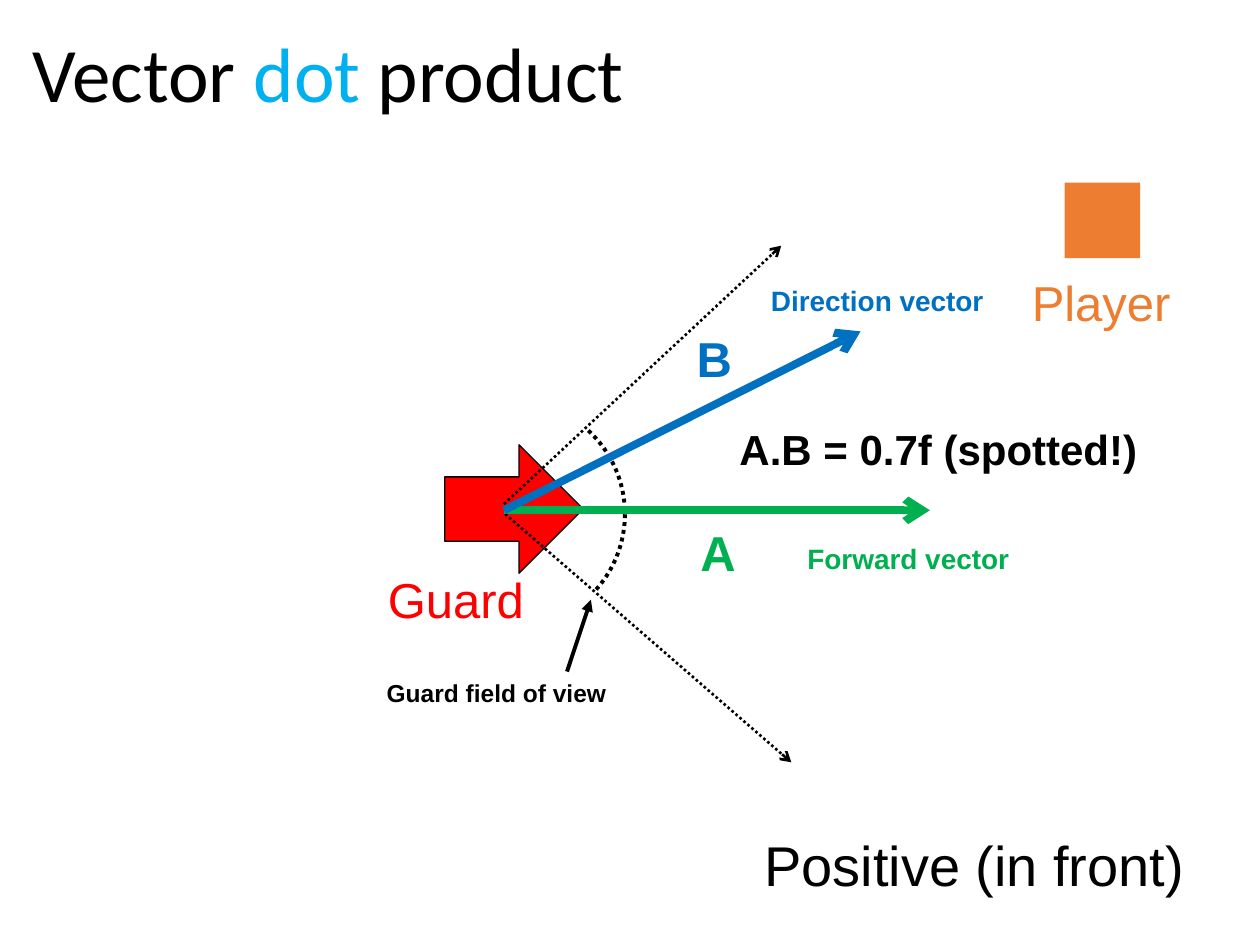
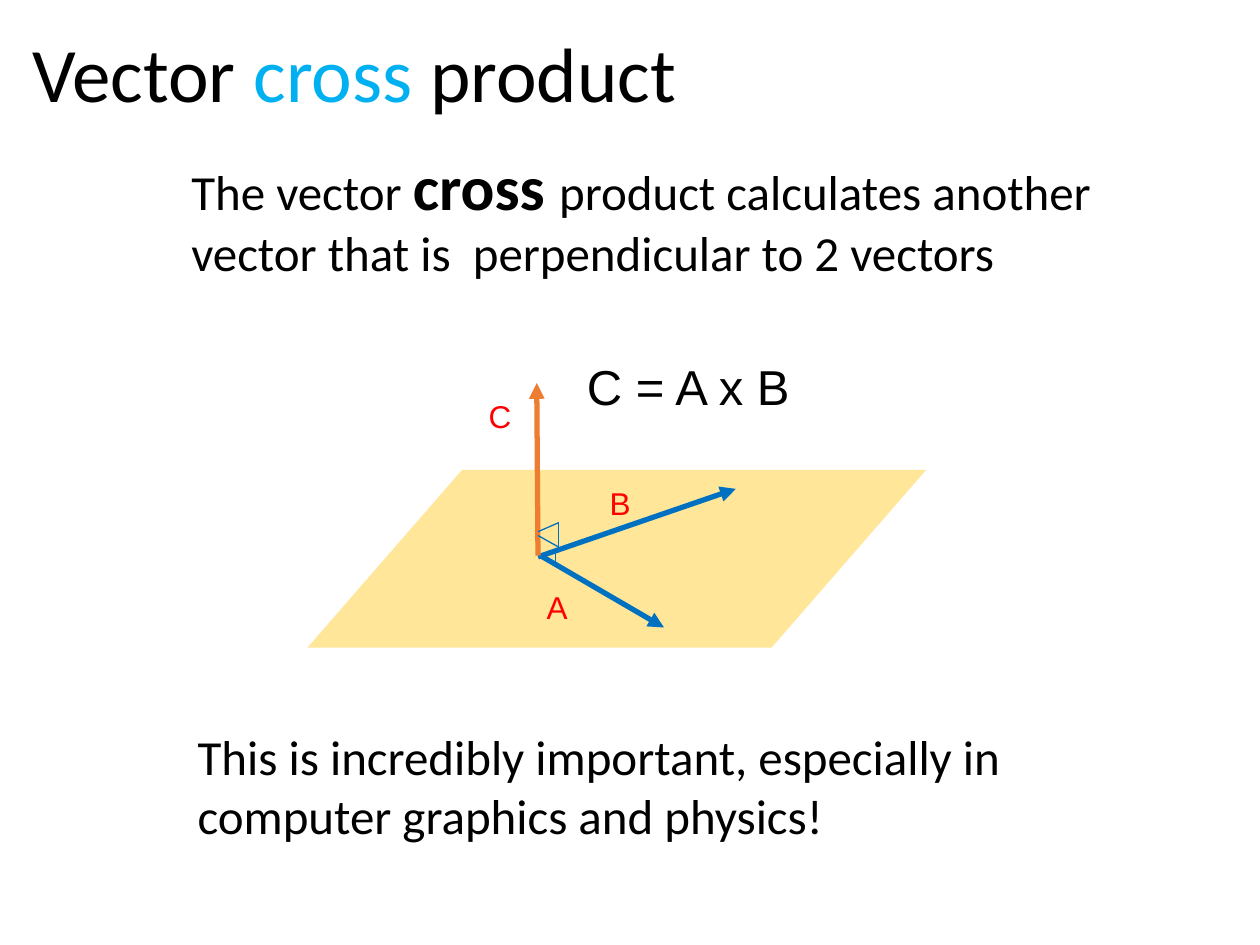
import pptx
import pptx.dml.color
import pptx.enum.dml
import pptx.enum.shapes
import pptx.enum.text
import pptx.oxml
import pptx.oxml.ns
import pptx.util
from pptx.util import Inches

RGBColor = pptx.dml.color.RGBColor
BLACK = RGBColor(0x00, 0x00, 0x00)
RED = RGBColor(0xFF, 0x00, 0x00)
ORANGE = RGBColor(0xED, 0x7D, 0x31)
GREEN = RGBColor(0x00, 0xB0, 0x50)
BLUE = RGBColor(0x00, 0x70, 0xC0)
SKY = RGBColor(0x00, 0xB0, 0xF0)
SAND = RGBColor(0xFF, 0xE6, 0x99)

SHAPE = pptx.enum.shapes.MSO_SHAPE
ALIGN = pptx.enum.text.PP_ALIGN
DOTS = pptx.enum.dml.MSO_LINE.ROUND_DOT
TITLE_ONLY = 5


def assign(target, values):
    for name, value in values.items():
        setattr(target, name, value)


class Deck:
    """Holds the shared style and the current slide."""

    sans = "Arial"
    serif = "Calibri"
    frame = {"auto_size": pptx.enum.text.MSO_AUTO_SIZE.SHAPE_TO_FIT_TEXT,
             "vertical_anchor": pptx.enum.text.MSO_ANCHOR.TOP}

    def __init__(self):
        self.prs = pptx.Presentation()
        assign(self.prs, {"slide_width": Inches(10), "slide_height": Inches(7.5)})
        self.slide = None

    def start(self, key, width):
        """Add a slide whose title sets one key word in sky blue."""
        layout = self.prs.slide_layouts[TITLE_ONLY]
        self.slide = self.prs.slides.add_slide(layout)
        title = self.slide.shapes.title
        assign(title, {"left": Inches(0.16), "top": Inches(0.15),
                       "width": Inches(width), "height": Inches(0.84)})
        runs = [("Vector ", {}), (key, {"color": SKY}), (" product", {})]
        self.fill_text(title, runs, 44, font=self.serif)

    def fill_text(self, box, runs, size, color=BLACK, font=sans, bold=False,
                  wrap=False, align=ALIGN.LEFT):
        """Fill a box; each run may override size, color or bold."""
        assign(box.text_frame, {**self.frame, "word_wrap": wrap})
        para = box.text_frame.paragraphs[0]
        para.alignment = align
        for text, change in runs:
            style = {"size": size, "color": color, "bold": bold, **change}
            run = para.add_run()
            run.text = text
            assign(run.font, {"name": font, "bold": style["bold"],
                              "size": pptx.util.Pt(style["size"])})
            run.font.color.rgb = style["color"]

    def text(self, at, runs, size, **style):
        box = self.slide.shapes.add_textbox(*map(Inches, at))
        if isinstance(runs, str):
            runs = [(runs, {})]
        self.fill_text(box, runs, size, **style)

    def stroke(self, line, color, width, dash=None):
        line.color.rgb = color
        assign(line, {"width": pptx.util.Pt(width), "dash_style": dash})

    def shape(self, kind, at, fill=None, line=None, turn=0, adjust=None):
        shape = self.slide.shapes.add_shape(kind, *map(Inches, at))
        shape.shadow.inherit = False
        shape.rotation = turn
        if adjust is not None:
            shape.adjustments[0] = adjust
        if fill is None:
            shape.fill.background()
        else:
            shape.fill.solid()
            shape.fill.fore_color.rgb = fill
        if line is None:
            shape.line.fill.background()
        else:
            self.stroke(shape.line, *line)

    def line(self, start, end, color, width, head=None, dash=None):
        kind = pptx.enum.shapes.MSO_CONNECTOR.STRAIGHT
        link = self.slide.shapes.add_connector(kind, *map(Inches, start + end))
        self.stroke(link.line, color, width, dash)
        props = link.element.spPr
        make = pptx.oxml.ns.qn
        if head:
            edge = props.find(make("a:ln"))
            edge.append(edge.makeelement(make("a:tailEnd"), {"type": head}))
        props.append(props.makeelement(make("a:effectLst"), {}))


def dot_slide(deck):
    deck.start("dot", 4.94)
    deck.text((5.77, 3.31, 3.39, 0.5), "A.B = 0.7f (spotted!)", 24, bold=True)

    # Guard and player
    deck.shape(SHAPE.RIGHT_ARROW, (3.53, 3.53, 1.1, 1.02), RED, (BLACK, 0.75))
    deck.text((2.98, 4.47, 1.3, 0.57), "Guard", 28, color=RED)
    deck.shape(SHAPE.RECTANGLE, (8.45, 1.45, 0.6, 0.6), ORANGE)
    deck.text((8.09, 2.11, 1.32, 0.57), "Player", 28, color=ORANGE)

    # Field of view
    for start, end in (((4, 4), (6.2, 1.95)), ((4.01, 4.08), (6.28, 6.05))):
        deck.line(start, end, BLACK, 1.5, "arrow", DOTS)
    deck.shape(SHAPE.ARC, (3.16, 3.18, 1.8, 1.8), line=(BLACK, 2.25, DOTS), turn=42.6)
    deck.text((2.97, 5.33, 1.95, 0.34), "Guard field of view", 14, bold=True)
    deck.line((4.5, 5.33), (4.69, 4.76), BLACK, 2.25, "triangle")

    # Vectors: color, tip, letter and its place, label and its place
    vectors = (
        (GREEN, (7.38, 4.05), "A", (5.46, 4.1), "Forward vector", (6.31, 4.25, 1.82)),
        (BLUE, (6.83, 2.63), "B", (5.43, 2.56), "Direction vector", (6.02, 2.2, 1.91)),
    )
    for color, tip, letter, spot, label, place in vectors:
        deck.line((4, 4.05), tip, color, 4.5, "arrow")
        deck.text(spot + (0.48, 0.57), letter, 28, color=color, bold=True)
        deck.text(place + (0.37,), label, 16, color=color, bold=True)

    deck.text((5.92, 6.54, 3.63, 0.64), "Positive (in front)", 32,
              wrap=True, align=ALIGN.CENTER)


def cross_slide(deck):
    deck.start("cross", 5.36)
    prose = {"font": deck.serif, "wrap": True}
    deck.text((1.42, 1.12, 7.45, 1.18), [
        ("The vector ", {}),
        ("cross ", {"size": 36, "bold": True}),
        ("product calculates another vector that is  perpendicular to 2 vectors", {}),
    ], 28, **prose)

    # Plane with its vectors
    deck.shape(SHAPE.PARALLELOGRAM, (2.44, 3.73, 4.91, 1.41), SAND, adjust=0.87)
    for start, end, color in (((4.27, 4.42), (5.84, 3.88), BLUE),
                              ((4.29, 4.41), (5.27, 4.98), BLUE),
                              ((4.27, 4.41), (4.26, 3.04), ORANGE)):
        deck.line(start, end, color, 3, "triangle")
    for letter, left, top in (("C", 3.78, 3.1), ("A", 4.24, 4.62), ("B", 4.74, 3.79)):
        deck.text((left, top, 0.38, 0.4), letter, 18, color=RED)

    # Right angle marks
    for start, end in (((4.27, 4.25), (4.43, 4.34)), ((4.41, 4.36), (4.41, 4.49)),
                       ((4.27, 4.22), (4.43, 4.15)), ((4.43, 4.14), (4.43, 4.34))):
        deck.line(start, end, BLUE, 0.75)

    deck.text((4.56, 2.78, 1.83, 0.57), "C = A x B", 28)
    deck.text((1.47, 5.72, 6.91, 1.04),
              "This is incredibly important, especially in computer graphics and physics!",
              28, **prose)


def main():
    deck = Deck()
    dot_slide(deck)
    cross_slide(deck)
    deck.prs.save("out.pptx")


if __name__ == "__main__":
    main()
